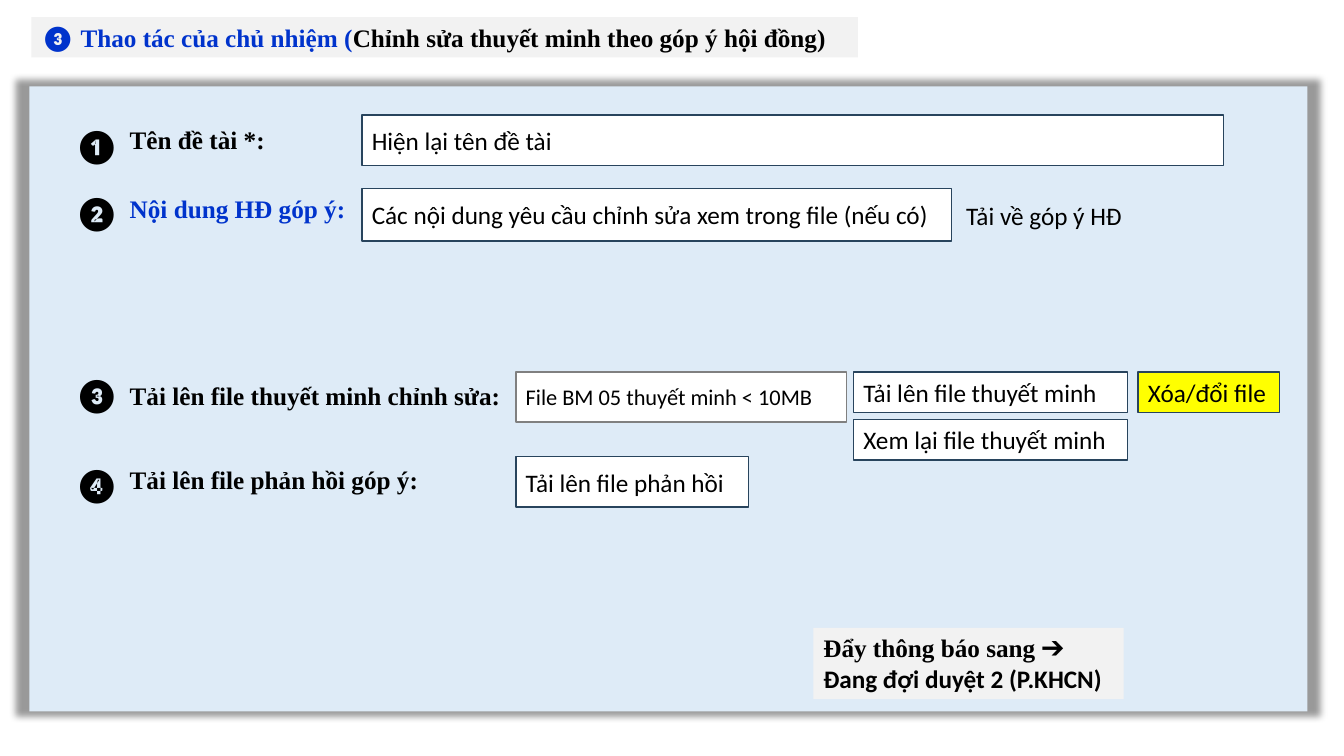
from lxml.etree import SubElement
from pptx import Presentation
from pptx.dml.color import RGBColor
from pptx.enum.shapes import MSO_SHAPE
from pptx.enum.text import MSO_ANCHOR, MSO_AUTO_SIZE, PP_ALIGN
from pptx.oxml.ns import qn
from pptx.util import Cm, Pt

BLACK = RGBColor(0x00, 0x00, 0x00)
WHITE = RGBColor(0xFF, 0xFF, 0xFF)
BLUE = RGBColor(0x00, 0x33, 0xCC)
PALE_BLUE = RGBColor(0xDE, 0xEB, 0xF7)
NAVY = RGBColor(0x28, 0x44, 0x5D)
GREY = RGBColor(0x80, 0x80, 0x80)
PALE_GREY = RGBColor(0xF2, 0xF2, 0xF2)
YELLOW = RGBColor(0xFF, 0xFF, 0x00)
SANS = "Calibri"
SERIF = "Times New Roman"

NUMBER_X, LABEL_X, TOPIC_X, FILE_X, ACTION_X = 1.63, 3.02, 9.12, 13, 21.51
LINE_HEIGHT, FIELD_HEIGHT = 1.02, 1.27


class FormSlide:
    def __init__(self, deck):
        self.slide = deck.slides.add_slide(deck.slide_layouts[6])

    def add_runs(self, frame, runs, size=18, bold=False):
        paragraph = frame.paragraphs[0]
        paragraph.alignment = PP_ALIGN.LEFT
        for text, font, color in runs:
            run = paragraph.add_run()
            run.text = text
            run.font.name = font
            run.font.size = Pt(size)
            run.font.bold = bold
            run.font.color.rgb = color

    def rectangle(self, x, y, width, height, fill, line=None):
        box = self.slide.shapes.add_shape(
            MSO_SHAPE.RECTANGLE, Cm(x), Cm(y), Cm(width), Cm(height))
        box.shadow.inherit = False
        box.fill.solid()
        box.fill.fore_color.rgb = fill
        if line is None:
            box.line.fill.background()
        else:
            box.line.color.rgb = line
            box.line.width = Pt(1)
        return box

    def panel(self, x, y, width, height):
        box = self.rectangle(x, y, width, height, PALE_BLUE)
        effects = box._element.spPr.find(qn("a:effectLst"))
        shadow = SubElement(effects, qn("a:outerShdw"), blurRad=str(Pt(5)),
                            sx="102000", sy="102000", algn="ctr", rotWithShape="0")
        color = SubElement(shadow, qn("a:srgbClr"), val=str(BLACK))
        SubElement(color, qn("a:alpha"), val="40000")

    def field(self, x, y, width, height, text, fill=WHITE, line=NAVY, size=18):
        frame = self.rectangle(x, y, width, height, fill, line).text_frame
        frame.word_wrap = True
        frame.vertical_anchor = MSO_ANCHOR.MIDDLE
        self.add_runs(frame, [(text, SANS, BLACK)], size)

    def banner(self, x, y, width, height, runs):
        frame = self.rectangle(x, y, width, height, PALE_GREY).text_frame
        frame.word_wrap = True
        frame.vertical_anchor = MSO_ANCHOR.TOP
        frame.auto_size = MSO_AUTO_SIZE.SHAPE_TO_FIT_TEXT
        self.add_runs(frame, runs, bold=True)

    def label(self, x, y, width, height, text, font, color=BLACK, size=18,
              bold=True, wrap=True):
        frame = self.slide.shapes.add_textbox(
            Cm(x), Cm(y), Cm(width), Cm(height)).text_frame
        frame.word_wrap = wrap
        frame.auto_size = MSO_AUTO_SIZE.SHAPE_TO_FIT_TEXT
        self.add_runs(frame, [(text, font, color)], size, bold)


def main():
    deck = Presentation()
    deck.slide_width, deck.slide_height = Cm(33.87), Cm(19.05)
    form = FormSlide(deck)
    form.panel(0.74, 2.18, 32.21, 15.75)

    steps = [
        ("❶", 3.02, "Tên đề tài *:", 3.02, 3.96, BLACK),
        ("❷", 4.7, "Nội dung HĐ góp ý:", 4.75, 6.48, BLUE),
        ("❸", 9.3, "Tải lên file thuyết minh chỉnh sửa:", 9.47, 9.88, BLACK),
        ("❹", 11.56, "Tải lên file phản hồi góp ý:", 11.58, 8.79, BLACK),
    ]
    for number, number_y, caption, caption_y, width, color in steps:
        form.label(NUMBER_X, number_y, 1.4, FIELD_HEIGHT, number, SANS, size=24)
        form.label(LABEL_X, caption_y, width, LINE_HEIGHT, caption, SERIF, color)

    form.field(TOPIC_X, 2.9, 21.72, FIELD_HEIGHT, "Hiện lại tên đề tài")
    form.field(TOPIC_X, 4.75, 14.86, 1.32,
               "Các nội dung yêu cầu chỉnh sửa xem trong file (nếu có)")
    form.field(FILE_X, 9.37, 8.33, FIELD_HEIGHT, "File BM 05 thuyết minh < 10MB",
               line=GREY, size=16)
    form.field(ACTION_X, 9.37, 6.91, LINE_HEIGHT, "Tải lên file thuyết minh")
    form.field(ACTION_X, 10.57, 6.91, LINE_HEIGHT, "Xem lại file thuyết minh")
    form.field(28.68, 9.37, 3.56, LINE_HEIGHT, "Xóa/đổi file", fill=YELLOW)
    form.field(FILE_X, 11.51, 5.87, FIELD_HEIGHT, "Tải lên file phản hồi")

    form.banner(0.79, 0.43, 20.83, LINE_HEIGHT, [
        ("❸", SANS, BLUE),
        (" Thao tác của chủ nhiệm (", SERIF, BLUE),
        ("Chỉnh sửa thuyết minh theo góp ý hội đồng)", SERIF, BLACK),
    ])
    form.banner(20.5, 15.82, 7.82, 1.8, [
        ("Đẩy thông báo sang ➔ ", SERIF, BLACK),
        ("Đang đợi duyệt 2 (P.KHCN)", SANS, BLACK),
    ])
    form.label(24.1, 4.93, 4.5, LINE_HEIGHT, "Tải về góp ý HĐ", SANS,
               bold=False, wrap=False)

    deck.save("out.pptx")


if __name__ == "__main__":
    main()
